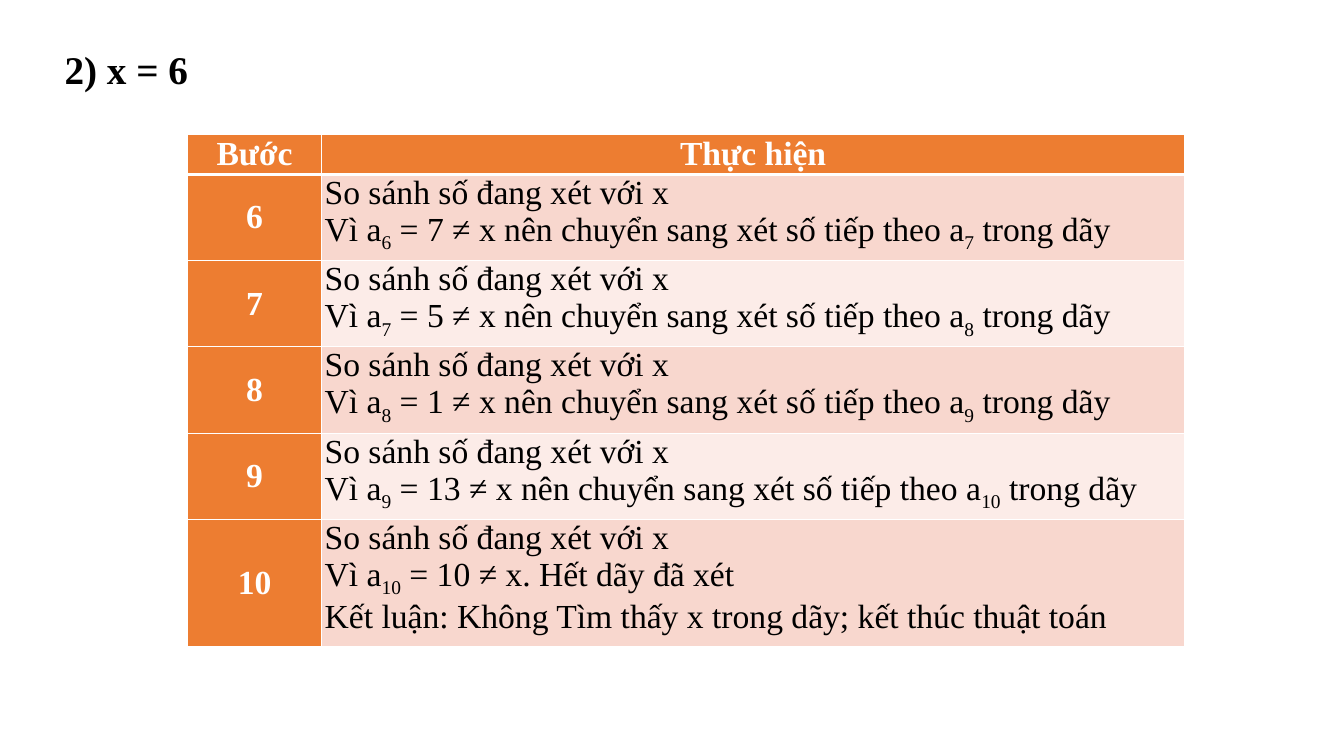
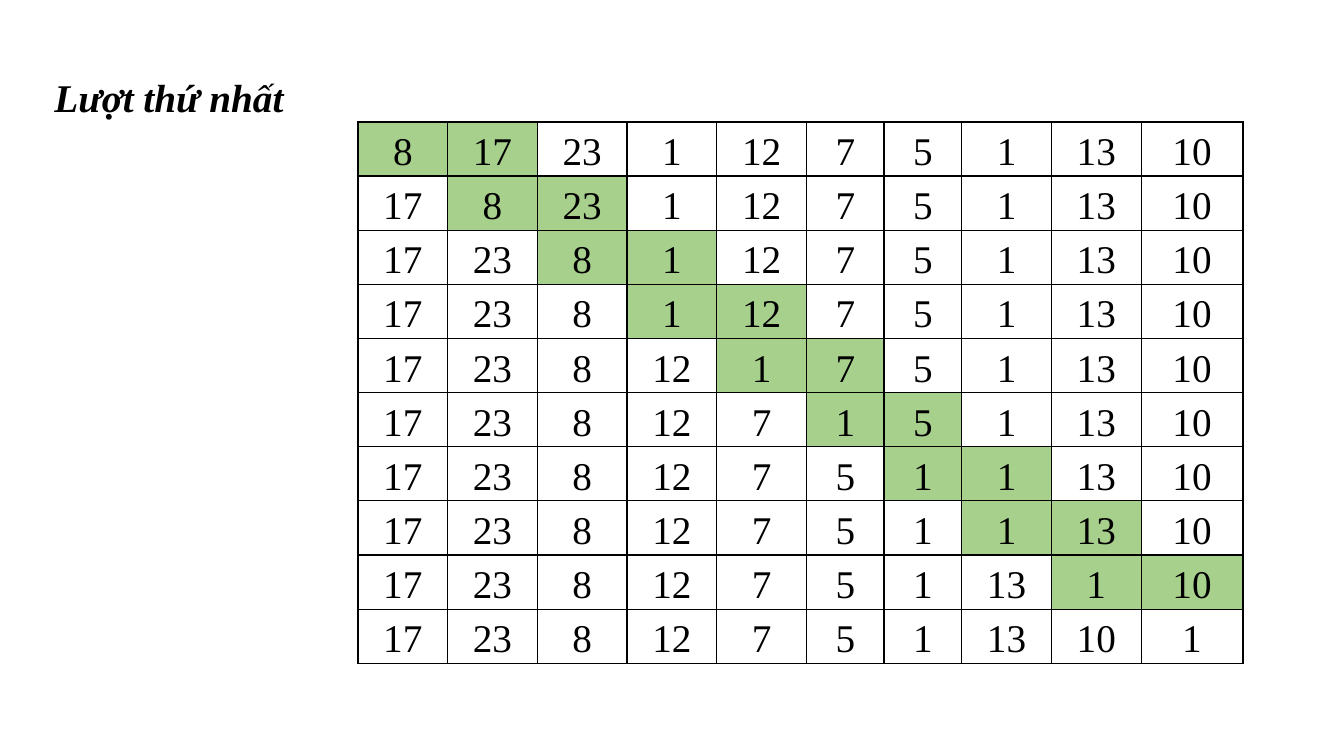
from lxml.etree import SubElement
from pptx import Presentation
from pptx.dml.color import RGBColor
from pptx.enum.text import MSO_ANCHOR, MSO_AUTO_SIZE, PP_ALIGN
from pptx.oxml.ns import qn
from pptx.util import Inches, Pt

COLORS = {
    "text": "000000",
    "white": "FFFFFF",
    "header": "ED7D31",
    "band_dark": "F8D7CE",
    "band_light": "FCECE8",
    "compared": "A8D08D",
}
FONT = "Times New Roman"
SEQUENCE = [8, 17, 23, 1, 12, 7, 5, 1, 13, 10]
TITLE_SIZE = 28
STEP_SIZE = 24
FIRST_STEP = 6


def color(name):
    """Return the named colour of the palette."""
    return RGBColor.from_string(COLORS[name])


def format_paragraph(paragraph, size, color_name, alignment, bold=False, italic=False):
    """Give a paragraph its font and alignment."""
    font = paragraph.font
    font.name, font.size = FONT, Pt(size)
    font.bold, font.italic = bold, italic
    font.color.rgb = color(color_name)
    paragraph.alignment = alignment


def space_paragraph(paragraph):
    """Apply the loose spacing of titles and number cells."""
    paragraph.line_spacing = 1.15
    paragraph.space_before = paragraph.space_after = Pt(6)


def add_titled_slide(presentation, text, box, italic=False):
    """Add a title-only slide with its title in the given box."""
    slide = presentation.slides.add_slide(presentation.slide_layouts[5])
    title = slide.shapes.title
    title.left, title.top, title.width, title.height = map(Inches, box)
    frame = title.text_frame
    frame.text = text
    frame.word_wrap = False
    frame.auto_size = MSO_AUTO_SIZE.SHAPE_TO_FIT_TEXT
    frame.vertical_anchor = MSO_ANCHOR.TOP
    paragraph = frame.paragraphs[0]
    format_paragraph(paragraph, TITLE_SIZE, "text", PP_ALIGN.JUSTIFY, True, italic)
    space_paragraph(paragraph)
    return slide


def add_plain_table(slide, left, top, widths, heights):
    """Add an unbanded table with the given column widths and row heights."""
    table = slide.shapes.add_table(
        len(heights), len(widths), Inches(left), Inches(top),
        Inches(sum(widths)), Inches(sum(heights)),
    ).table
    table.first_row = table.horz_banding = False
    for column, width in zip(table.columns, widths):
        column.width = Inches(width)
    for row, height in zip(table.rows, heights):
        row.height = Inches(height)
    return table


def format_cell(cell, border, fill, inset, anchor=MSO_ANCHOR.MIDDLE, top=1, bottom=1):
    """Set the borders, fill, margins and anchor of a cell."""
    properties = cell._tc.get_or_add_tcPr()
    for side, width in (("L", 1), ("R", 1), ("T", top), ("B", bottom)):
        line = SubElement(properties, qn(f"a:ln{side}"), w=str(Pt(width)))
        solid = SubElement(line, qn("a:solidFill"))
        SubElement(solid, qn("a:srgbClr"), val=COLORS[border])
    if fill:
        cell.fill.solid()
        cell.fill.fore_color.rgb = color(fill)
    else:
        cell.fill.background()
    cell.margin_left = cell.margin_right = Inches(inset)
    cell.margin_top = cell.margin_bottom = 0
    cell.vertical_anchor = anchor


def write_lines(cell, lines, color_name, alignment, bold=False):
    """Write lines into a cell, with subscripts between vertical bars."""
    frame = cell.text_frame
    for index, line in enumerate(lines):
        paragraph = frame.add_paragraph() if index else frame.paragraphs[0]
        format_paragraph(paragraph, STEP_SIZE, color_name, alignment, bold)
        for position, part in enumerate(line.split("|")):
            run = paragraph.add_run()
            run.text = part
            if position % 2:
                run._r.get_or_add_rPr().set("baseline", "-25000")


def step_lines(step):
    """Return the lines that describe one step of the search."""
    comparison = f"Vì a|{step}| = {SEQUENCE[step - 1]} ≠ x"
    lines = ["So sánh số đang xét với x"]
    if step < len(SEQUENCE):
        lines.append(f"{comparison} nên chuyển sang xét số tiếp theo a|{step + 1}| trong dãy")
    else:
        lines.append(f"{comparison}. Hết dãy đã xét")
        lines.append("Kết luận: Không Tìm thấy x trong dãy; kết thúc thuật toán")
    return lines


def add_search_table(slide, left, top):
    """Add the table of search steps."""
    steps = range(FIRST_STEP, len(SEQUENCE) + 1)
    heights = [0.4] + [0.85] * (len(steps) - 1) + [1.26]
    table = add_plain_table(slide, left, top, [1.33, 8.56], heights)
    for column, heading in enumerate(("Bước", "Thực hiện")):
        cell = table.cell(0, column)
        format_cell(cell, "white", "header", 0.03, bottom=3)
        write_lines(cell, [heading], "white", PP_ALIGN.CENTER, True)
    for row, step in enumerate(steps, start=1):
        border_top = 3 if row == 1 else 1
        number, action = table.cell(row, 0), table.cell(row, 1)
        format_cell(number, "white", "header", 0.03, top=border_top)
        write_lines(number, [str(step)], "white", PP_ALIGN.CENTER, True)
        band = "band_dark" if row % 2 else "band_light"
        format_cell(action, "white", band, 0.03, MSO_ANCHOR.TOP, top=border_top)
        write_lines(action, step_lines(step), "text", PP_ALIGN.JUSTIFY)


def bubble_pass(numbers):
    """Return the list before each comparison of a descending pass and after the last."""
    current = list(numbers)
    states = [list(current)]
    for index in range(len(current) - 1):
        if current[index] < current[index + 1]:
            current[index:index + 2] = current[index + 1], current[index]
        states.append(list(current))
    return states


def add_sort_table(slide, left, top):
    """Add the grid of one sorting pass with each compared pair shaded."""
    states = bubble_pass(SEQUENCE)
    widths = [0.89] * 5 + [0.77] * 2 + [0.89] * 2 + [1.01]
    table = add_plain_table(slide, left, top, widths, [0.5] * len(states))
    for row, state in enumerate(states):
        for column, number in enumerate(state):
            cell = table.cell(row, column)
            compared = row < len(states) - 1 and column in (row, row + 1)
            format_cell(cell, "text", "compared" if compared else None, 0.07)
            cell.text = str(number)
            paragraph = cell.text_frame.paragraphs[0]
            format_paragraph(paragraph, TITLE_SIZE, "text", PP_ALIGN.CENTER)
            space_paragraph(paragraph)


def main():
    """Build and save the presentation."""
    presentation = Presentation()
    presentation.slide_width, presentation.slide_height = Inches(13.33), Inches(7.5)
    search_slide = add_titled_slide(presentation, "2) x = 6", (0.54, 0.33, 1.44, 0.6))
    add_search_table(search_slide, 1.86, 1.33)
    sort_slide = add_titled_slide(presentation, "Lượt thứ nhất", (0.44, 0.61, 2.5, 0.6), True)
    add_sort_table(sort_slide, 3.55, 1.21)
    presentation.save("out.pptx")


main()
